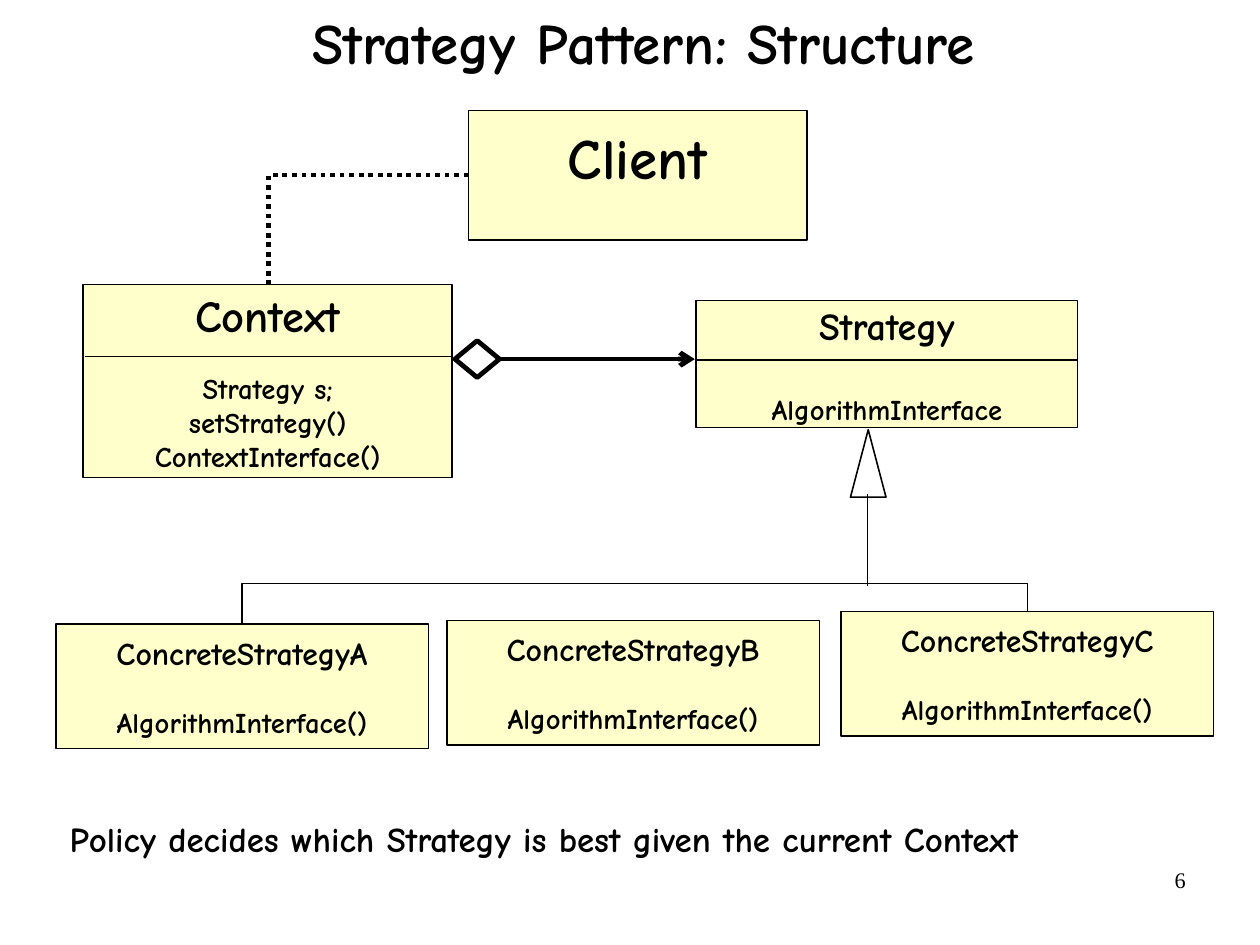
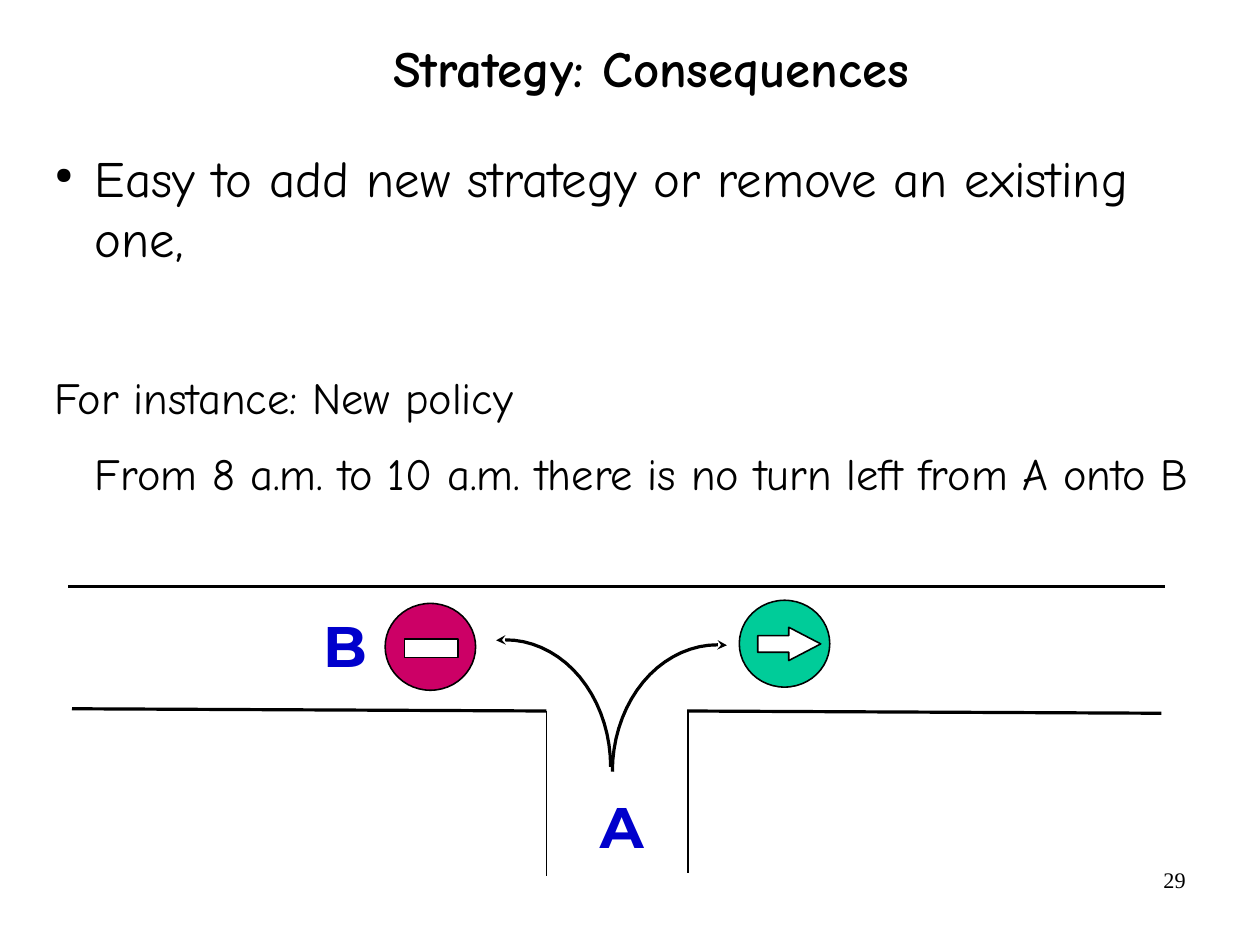
"""Build two slides on the Strategy pattern: its structure and its consequences."""
import math
from dataclasses import dataclass

import lxml.etree
import pptx
import pptx.dml.color
import pptx.enum.dml
import pptx.enum.shapes
import pptx.enum.text
import pptx.oxml.ns
import pptx.shapes.autoshape
import pptx.shapes.base
import pptx.shapes.connector
import pptx.slide
import pptx.text.text
import pptx.util

Cm = pptx.util.Cm
Pt = pptx.util.Pt
RGBColor = pptx.dml.color.RGBColor
Slide = pptx.slide.Slide
Shape = pptx.shapes.autoshape.Shape
Link = pptx.shapes.connector.Connector
Frame = pptx.text.text.TextFrame
KIND = pptx.enum.shapes.MSO_SHAPE
JOIN = pptx.enum.shapes.MSO_CONNECTOR
ALIGN = pptx.enum.text.PP_ALIGN
ANCHOR = pptx.enum.text.MSO_ANCHOR
DOTS = pptx.enum.dml.MSO_LINE.ROUND_DOT
qn = pptx.oxml.ns.qn

BLACK = RGBColor(0x00, 0x00, 0x00)
WHITE = RGBColor(0xFF, 0xFF, 0xFF)
CREAM = RGBColor(0xFF, 0xFF, 0xCC)
RED = RGBColor(0xCC, 0x00, 0x66)
GREEN = RGBColor(0x00, 0xCC, 0x99)
BLUE = RGBColor(0x00, 0x00, 0xCC)

COMIC = "Comic Neue"
SERIF = "Times New Roman"
SANS = "Montserrat"


@dataclass(frozen=True)
class Area:
    """Place and size in centimetres."""
    x: float
    y: float
    w: float
    h: float

    def emu(self) -> tuple:
        """Return left, top, width and height as lengths."""
        return Cm(self.x), Cm(self.y), Cm(self.w), Cm(self.h)


@dataclass(frozen=True)
class Para:
    """One paragraph with its look; spacing in points, indents in centimetres."""
    text: str
    size: float
    before: float = 0
    after: float = 0
    font: str = COMIC
    bold: bool = True
    color: RGBColor = BLACK
    align: ALIGN = ALIGN.CENTER
    left: float = 0
    first: float = 0
    mark: str = ""


@dataclass(frozen=True)
class Box:
    """A class box of the diagram."""
    area: Area
    paras: tuple
    foot: float = 0.13


@dataclass(frozen=True)
class Line:
    """A straight line in centimetres."""
    x1: float
    y1: float
    x2: float
    y2: float
    width: float = 1


@dataclass(frozen=True)
class Sign:
    """A round road sign with a white symbol."""
    disc: Area
    color: RGBColor
    kind: KIND
    inner: Area
    adjust: tuple = ()


@dataclass(frozen=True)
class Turn:
    """A quarter-ellipse path, its tip first."""
    x: float
    y: float
    rx: float
    ry: float


def write(frame: Frame, paras: tuple) -> None:
    """Fill a text frame with paragraphs."""
    for i, item in enumerate(paras):
        para = frame.paragraphs[0] if i == 0 else frame.add_paragraph()
        para.alignment = item.align
        para.space_before = Pt(item.before)
        para.space_after = Pt(item.after)
        props = para._p.get_or_add_pPr()
        props.set("marL", str(Cm(item.left)))
        props.set("indent", str(Cm(item.first)))
        if item.mark:
            lxml.etree.SubElement(props, qn("a:buSzPct"), val="45000")
            lxml.etree.SubElement(props, qn("a:buChar"), char=item.mark)
        run = para.add_run()
        run.text = item.text
        font = run.font
        font.name, font.size, font.bold = item.font, Pt(item.size), item.bold
        font.color.rgb = item.color


def inset(frame: Frame, side: float, top: float, foot: float) -> None:
    """Set the margins of a text frame."""
    frame.margin_left = frame.margin_right = Cm(side)
    frame.margin_top, frame.margin_bottom = Cm(top), Cm(foot)


def label(slide: Slide, area: Area, paras: tuple, wrap: bool = True,
          side: float = 0.28, top: float = 0.15) -> None:
    """Add a text box."""
    frame = slide.shapes.add_textbox(*area.emu()).text_frame
    frame.word_wrap = wrap
    inset(frame, side, top, top)
    write(frame, paras)


def ink(shape: pptx.shapes.base.BaseShape, width: float) -> None:
    """Give a shape or connector a black line."""
    shape.line.color.rgb = BLACK
    shape.line.width = Pt(width)


def tip(shape: pptx.shapes.base.BaseShape, end: str, kind: str) -> None:
    """Put an arrowhead on one end of a line."""
    line = shape._element.spPr.find(qn("a:ln"))
    lxml.etree.SubElement(line, qn(f"a:{end}"), type=kind)


def solid(slide: Slide, kind: KIND, area: Area, color: RGBColor,
          width: float = 1, adjust: tuple = ()) -> Shape:
    """Add a filled shape with a black line."""
    shape = slide.shapes.add_shape(kind, *area.emu())
    for i, value in enumerate(adjust):
        shape.adjustments[i] = value
    shape.fill.solid()
    shape.fill.fore_color.rgb = color
    ink(shape, width)
    shape.shadow.inherit = False
    return shape


def link(slide: Slide, line: Line, kind: JOIN = JOIN.STRAIGHT) -> Link:
    """Add a connector without a shadow."""
    join = slide.shapes.add_connector(
        kind, Cm(line.x1), Cm(line.y1), Cm(line.x2), Cm(line.y2))
    ink(join, line.width)
    lxml.etree.SubElement(join._element.spPr, qn("a:effectLst"))
    return join


def elbow(slide: Slide, line: Line, preset: str, angle: int, bend: float = 0) -> Link:
    """Add a turned elbow connector, given by its frame before turning."""
    join = link(slide, line, JOIN.ELBOW)
    props = join._element.spPr
    props.find(qn("a:xfrm")).set("rot", str(angle * 60000))
    shape = props.find(qn("a:prstGeom"))
    shape.set("prst", preset)
    if bend:
        guides = shape.find(qn("a:avLst"))
        lxml.etree.SubElement(guides, qn("a:gd"), name="adj1",
                              fmla=f"val {round(bend * 100000)}")
    return join


def draw_box(slide: Slide, box: Box) -> None:
    """Draw a class box with its text."""
    frame = solid(slide, KIND.RECTANGLE, box.area, CREAM).text_frame
    frame.word_wrap = False
    frame.vertical_anchor = ANCHOR.MIDDLE
    inset(frame, 0.28, 0.13, box.foot)
    write(frame, box.paras)


def draw_sign(slide: Slide, sign: Sign) -> None:
    """Draw a road sign."""
    solid(slide, KIND.OVAL, sign.disc, sign.color)
    solid(slide, sign.kind, sign.inner, WHITE, adjust=sign.adjust)


def draw_turn(slide: Slide, turn: Turn) -> None:
    """Draw a curved arrow."""
    angles = [math.radians(a) for a in range(-5, 91, 5)]
    points = [(Cm(turn.x + turn.rx * math.sin(a)), Cm(turn.y - turn.ry * math.cos(a)))
              for a in angles]
    build = slide.shapes.build_freeform(*points[0])
    build.add_line_segments(points[1:], close=False)
    curve = build.convert_to_shape()
    curve.fill.background()
    ink(curve, 2)
    tip(curve, "headEnd", "stealth")
    curve.shadow.inherit = False


def start(deck: pptx.presentation.Presentation, title: str, size: float,
          area: Area, page: str) -> Slide:
    """Add a slide with its title and page number."""
    slide = deck.slides.add_slide(deck.slide_layouts[5])
    head = slide.shapes.title
    head.left, head.top, head.width, head.height = area.emu()
    frame = head.text_frame
    frame.word_wrap = True
    frame.auto_size = pptx.enum.text.MSO_AUTO_SIZE.NONE
    frame.vertical_anchor = ANCHOR.MIDDLE
    inset(frame, 0, 0, 0)
    write(frame, (Para(title, size),))
    frame.paragraphs[0].line_spacing = 0.88
    label(slide, Area(20.07, 19.13, 6.53, 1.45),
          (Para(page, 14, font=SERIF, bold=False, align=ALIGN.RIGHT),),
          side=0.25, top=0.13)
    return slide


def structure(deck: pptx.presentation.Presentation) -> None:
    """Build the class diagram."""
    slide = start(deck, "Strategy Pattern: Structure", 36,
                  Area(2.36, -0.71, 23.88, 3.48), "6")
    boxes = [
        Box(Area(15.47, 6.68, 8.48, 2.82),
            (Para("Strategy", 24), Para("AlgorithmInterface", 18, before=27.6))),
        Box(Area(1.85, 6.32, 8.2, 4.29),
            (Para("Context", 28), Para("Strategy s;", 18, before=18.4),
             Para("setStrategy()", 18), Para("ContextInterface()", 18))),
        Box(Area(10.41, 2.46, 7.52, 2.87), (Para("Client", 36),), foot=0.94),
    ]
    for name, x, y in (("A", 1.24, 13.87), ("B", 9.93, 13.79), ("C", 18.69, 13.59)):
        boxes.append(Box(Area(x, y, 8.28, 2.77),
                         (Para(f"ConcreteStrategy{name}", 20),
                          Para("AlgorithmInterface()", 18, before=20.7))))
    for box in boxes:
        draw_box(slide, box)
    solid(slide, KIND.ISOSCELES_TRIANGLE, Area(18.9, 9.55, 0.79, 1.5), WHITE)
    for line in (Line(15.49, 8, 23.93, 8), Line(1.88, 7.92, 10.05, 7.92),
                 Line(19.28, 10.97, 19.28, 13.03)):
        link(slide, line)
    gem = solid(slide, KIND.DIAMOND, Area(10.11, 7.57, 0.99, 0.82), WHITE, 3)
    arrow = link(slide, Line(11.1, 7.98, 15.44, 7.98, 3))
    arrow.begin_connect(gem, 3)
    tip(arrow, "tailEnd", "arrow")
    elbow(slide, Line(13.97, 5.01, 14.25, 22.46), "bentConnector3", 270, 3.25)
    dots = elbow(slide, Line(5.97, 6.32, 10.41, 3.89, 3), "bentConnector2", 180)
    dots.line.dash_style = DOTS
    label(slide, Area(1.27, 18.01, 25.65, 1.22),
          (Para("Policy decides which Strategy is best given the current Context",
                22, align=ALIGN.LEFT),))


def results(deck: pptx.presentation.Presentation) -> None:
    """Build the road example."""
    slide = start(deck, "Strategy: Consequences", 32,
                  Area(2.57, 0.64, 23.8, 1.91), "29")
    look = dict(bold=False, align=ALIGN.LEFT, after=13.8, left=1.17)
    label(slide, Area(0.66, 3.1, 26.47, 15.44), (
        Para("Easy to add new strategy or remove an existing one,", 32,
             first=-0.89, mark="●", **look),
        Para("For instance: New policy", 28, before=50.6, first=-0.89, **look),
        Para("From 8 a.m. to 10 a.m. there is no turn left from A onto B", 28, **look)))
    for line in (Line(1.52, 13.03, 25.88, 13.03, 2), Line(15.27, 15.8, 25.81, 15.85, 2),
                 Line(1.6, 15.75, 12.14, 15.8, 2), Line(12.14, 15.8, 12.14, 19.46),
                 Line(15.29, 15.77, 15.29, 19.41)):
        link(slide, line)
    for turn in (Turn(11.23, 17.04, 2.34, 2.82), Turn(15.95, 17.15, -2.34, 2.82)):
        draw_turn(slide, turn)
    for sign in (Sign(Area(8.56, 13.41, 2.01, 1.93), RED, KIND.RECTANGLE,
                      Area(8.99, 14.2, 1.19, 0.41)),
                 Sign(Area(16.43, 13.34, 2.01, 1.93), GREEN, KIND.RIGHT_ARROW,
                      Area(16.84, 13.94, 1.4, 0.74), (0.5, 0.96))):
        draw_sign(slide, sign)
    for name, x, y in (("A", 13.08, 17.45), ("B", 6.93, 13.44)):
        label(slide, Area(x, y, 0.99, 1.8), (Para(name, 36, font=SANS, color=BLUE),),
              wrap=False, side=0.25, top=0.13)


def main() -> None:
    """Build and save the deck."""
    deck = pptx.Presentation()
    deck.slide_width, deck.slide_height = Cm(28), Cm(21)
    structure(deck)
    results(deck)
    deck.save("out.pptx")


if __name__ == "__main__":
    main()
